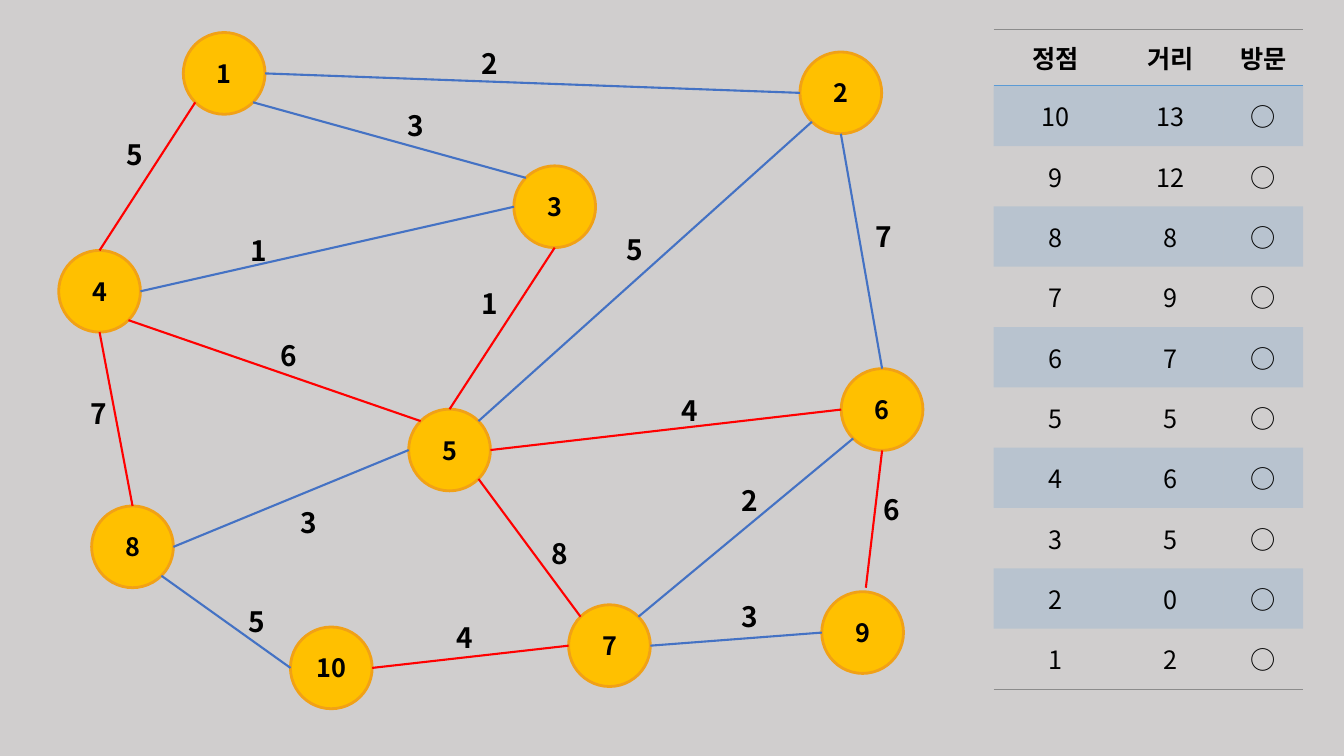
from math import cos, radians, sin

from lxml import etree
from pptx import Presentation
from pptx.dml.color import RGBColor
from pptx.enum.shapes import MSO_CONNECTOR, MSO_SHAPE
from pptx.enum.text import MSO_ANCHOR, MSO_AUTO_SIZE, PP_ALIGN
from pptx.oxml.ns import qn
from pptx.util import Cm, Pt

LINE = MSO_CONNECTOR.STRAIGHT
OVAL = MSO_SHAPE.OVAL
MIDDLE = MSO_ANCHOR.MIDDLE
GROW = MSO_AUTO_SIZE.SHAPE_TO_FIT_TEXT
LEFT, CENTER = PP_ALIGN.LEFT, PP_ALIGN.CENTER
PLAIN = "{2D5ABB26-0587-4C30-8999-92F81FD0307C}"
RED, BLUE, SKY, GRAY = "FF0000", "4472C4", "5B9BD5", "8C8C8C"
SIZE = 2.06
SIDES = {"E": 0, "SE": 45, "S": 90, "SW": 135, "W": 180, "NW": 225, "N": 270, "NE": 315}

NODES = {
    1: (4.62, 0.82), 2: (20.16, 1.31), 3: (12.95, 4.18), 4: (1.48, 6.31),
    5: (10.3, 10.31), 6: (21.2, 9.29), 7: (14.33, 15.24), 8: (2.31, 12.75),
    9: (20.71, 14.91), 10: (7.32, 15.8),
}
EDGES = [
    (1, "SW", 4, "N", RED, 5, 2.95, 3.35),
    (3, "NW", 1, "SE", BLUE, 3, 10.01, 2.62),
    (2, "W", 1, "E", BLUE, 2, 11.89, 1.04),
    (2, "S", 6, "N", BLUE, 7, 21.82, 5.41),
    (2, "SW", 5, "NE", BLUE, 5, 15.54, 5.74),
    (3, "S", 5, "N", RED, 1, 11.89, 7.09),
    (3, "W", 4, "E", BLUE, 1, 6.07, 5.77),
    (4, "S", 8, "N", RED, 7, 2.03, 9.86),
    (5, "W", 8, "E", BLUE, 3, 7.32, 12.62),
    (5, "NW", 4, "SE", RED, 6, 6.83, 8.41),
    (5, "SE", 7, "NW", RED, 8, 13.64, 13.39),
    (6, "W", 5, "E", RED, 4, 16.92, 9.78),
    (9, "N", 6, "S", RED, 6, 22.02, 12.29),
    (6, "SW", 7, "NE", BLUE, 2, 18.44, 12.07),
    (10, "E", 7, "W", RED, 4, 11.25, 15.52),
    (10, "W", 8, "SE", BLUE, 5, 6.02, 15.11),
    (9, "W", 7, "E", BLUE, 3, 18.44, 14.99),
]
SHIFTS = {(9, "N"): (0.08, -0.1)}
HEADS = ["정점", "거리", "방문"]
COSTS = [13, 12, 8, 9, 7, 5, 6, 5, 0, 2]


def color(code):
    """Turn a hex string into a colour."""
    return RGBColor.from_string(code)


def anchor(node, side):
    """Find the point of a node's rim that faces a side."""
    x, y = NODES[node]
    dx, dy = SHIFTS.get((node, side), (0, 0))
    turn = radians(SIDES[side])
    half = SIZE / 2
    return Cm(x + dx + half * (1 + cos(turn))), Cm(y + dy + half * (1 + sin(turn)))


class Board:
    """Hold the text style and the current slide."""

    face = "Noto Sans CJK KR"

    def __init__(self, slide):
        """Keep the slide and paint its background."""
        self.slide = slide
        fill = slide.background.fill
        fill.solid()
        fill.fore_color.rgb = color("D0CECE")

    def text(self, frame, words, align=CENTER, **extra):
        """Put one styled run into a text frame."""
        part = frame.paragraphs[0]
        part.alignment = align
        run = part.add_run()
        run.text = str(words)
        style = {"name": self.face, "size": Pt(18), "bold": True, **extra}
        for key, value in style.items():
            setattr(run.font, key, value)
        run.font.color.rgb = color("000000")
        latin = run._r.rPr.find(qn("a:latin"))
        east = etree.Element(qn("a:ea"), typeface=self.face)
        latin.addnext(east)

    def node(self, name, x, y):
        """Draw a numbered vertex."""
        disc = self.slide.shapes.add_shape(OVAL, Cm(x), Cm(y), Cm(SIZE), Cm(SIZE))
        disc.shadow.inherit = False
        disc.fill.solid()
        disc.fill.fore_color.rgb = color("FFC000")
        disc.line.color.rgb = color("F1A116")
        disc.line.width = Pt(2)
        disc.text_frame.vertical_anchor = MIDDLE
        self.text(disc.text_frame, name)

    def edge(self, start, end, tone):
        """Draw a line between two points."""
        link = self.slide.shapes.add_connector(LINE, *start, *end)
        link.line.color.rgb = color(tone)
        link.line.width = Pt(1.5)
        etree.SubElement(link._element.spPr, qn("a:effectLst"))

    def label(self, cost, x, y):
        """Show the weight of an edge."""
        box = self.slide.shapes.add_textbox(Cm(x), Cm(y), Cm(0.91), Cm(1.11))
        box.text_frame.word_wrap = False
        box.text_frame.auto_size = GROW
        self.text(box.text_frame, cost, LEFT, size=Pt(20))

    def border(self, cell, side, tone, width):
        """Add a line to one side of a cell."""
        line = etree.Element(qn("a:" + side), w=str(Pt(width)))
        fill = etree.SubElement(line, qn("a:solidFill"))
        etree.SubElement(fill, qn("a:srgbClr"), val=tone)
        cell._tc.get_or_add_tcPr().insert(0, line)

    def shade(self, cell):
        """Fill a cell with a clear blue."""
        cell.fill.solid()
        cell.fill.fore_color.rgb = color(SKY)
        tone = cell._tc.tcPr.find(".//" + qn("a:srgbClr"))
        etree.SubElement(tone, qn("a:alpha"), val="20000")

    def table(self, rows, x, y, wides, highs):
        """Draw a ruled table with every second row shaded."""
        frame = self.slide.shapes.add_table(
            len(rows), len(wides), Cm(x), Cm(y), Cm(sum(wides)), Cm(sum(highs)))
        grid = frame.table
        grid.first_row = grid.horz_banding = False
        grid._tbl.tblPr.find(qn("a:tableStyleId")).text = PLAIN
        for col, wide in zip(grid.columns, wides):
            col.width = Cm(wide)
        for r, (row, high) in enumerate(zip(rows, highs)):
            grid.rows[r].height = Cm(high)
            for c, words in enumerate(row):
                cell = grid.cell(r, c)
                cell.vertical_anchor = MIDDLE
                self.text(cell.text_frame, words, bold=r == 0)
                if r % 2:
                    self.shade(cell)
                else:
                    cell.fill.background()
                if r == 0:
                    self.border(cell, "lnB", SKY, 1)
                    self.border(cell, "lnT", GRAY, 0.5)
                if r == len(rows) - 1:
                    self.border(cell, "lnB", GRAY, 0.5)


def main():
    """Build the graph and its distance table."""
    deck = Presentation()
    deck.slide_width, deck.slide_height = Cm(33.87), Cm(19.05)
    board = Board(deck.slides.add_slide(deck.slide_layouts[6]))
    for name, spot in NODES.items():
        board.node(name, *spot)
    for a, out, b, into, tone, cost, x, y in EDGES:
        board.edge(anchor(a, out), anchor(b, into), tone)
        board.label(cost, x, y)
    rows = [HEADS] + [(10 - i, cost, "○") for i, cost in enumerate(COSTS)]
    board.table(rows, 25.04, 0.74, [3.12, 2.67, 2.01], [1.42] + [1.52] * 10)
    deck.save("out.pptx")


if __name__ == "__main__":
    main()
